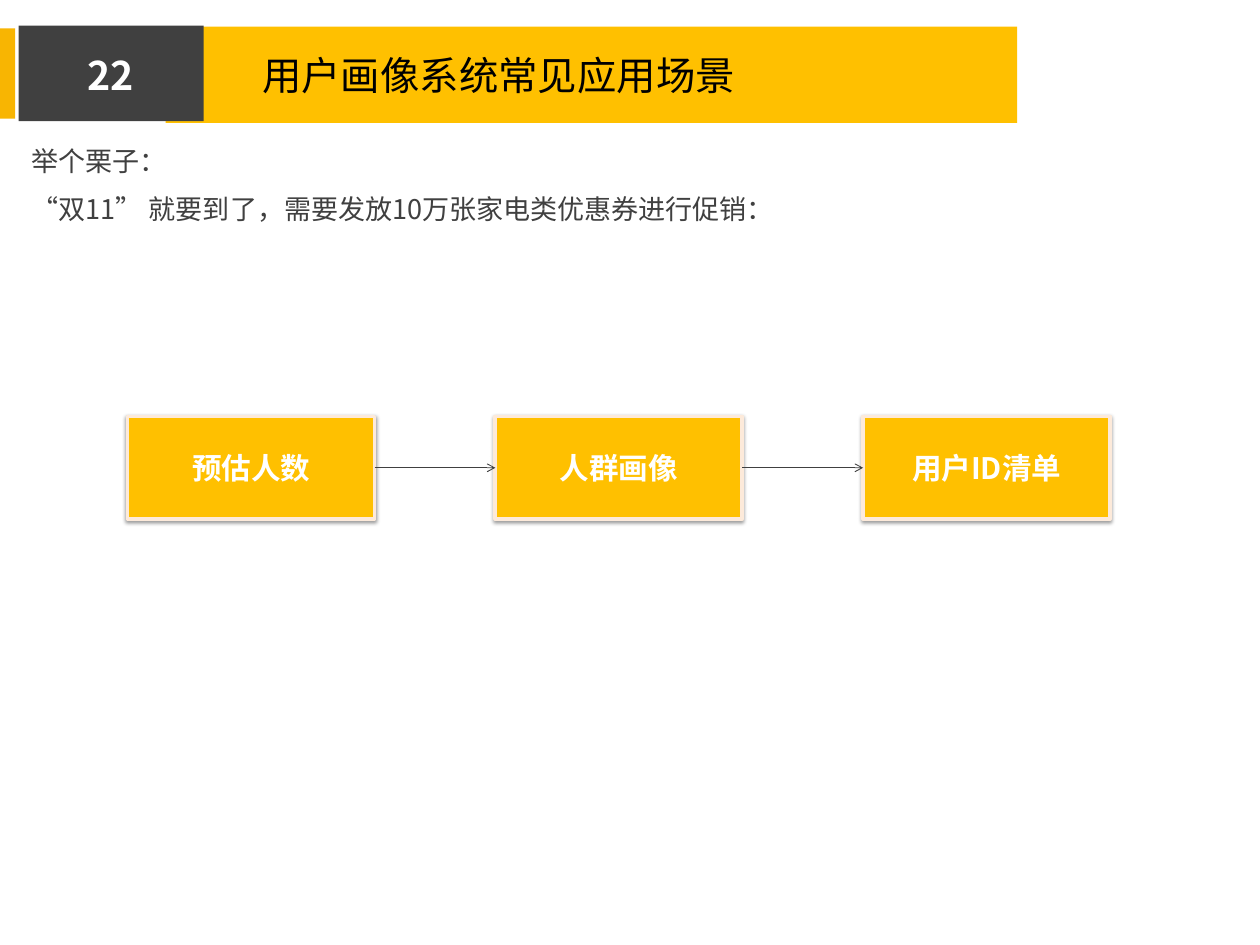
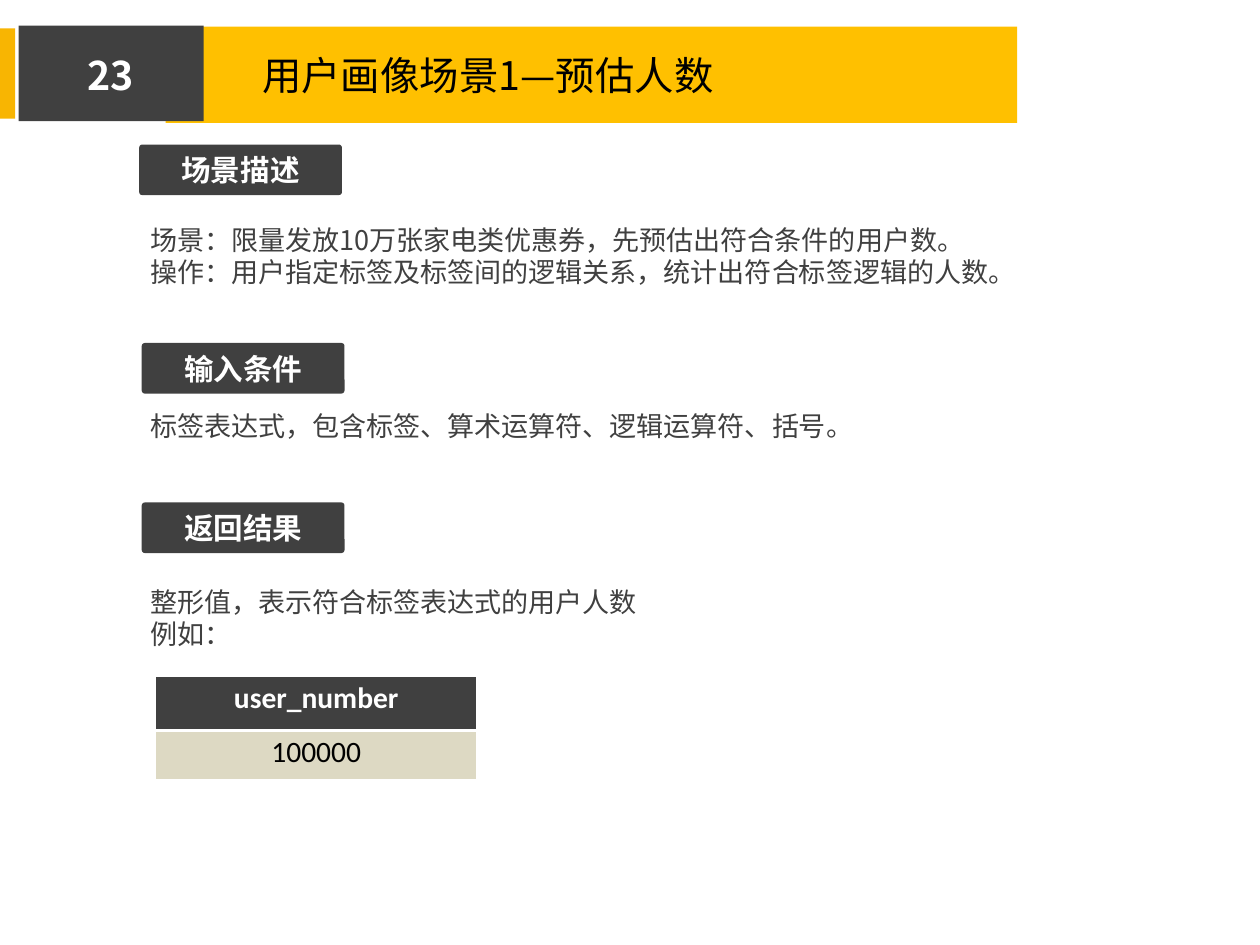
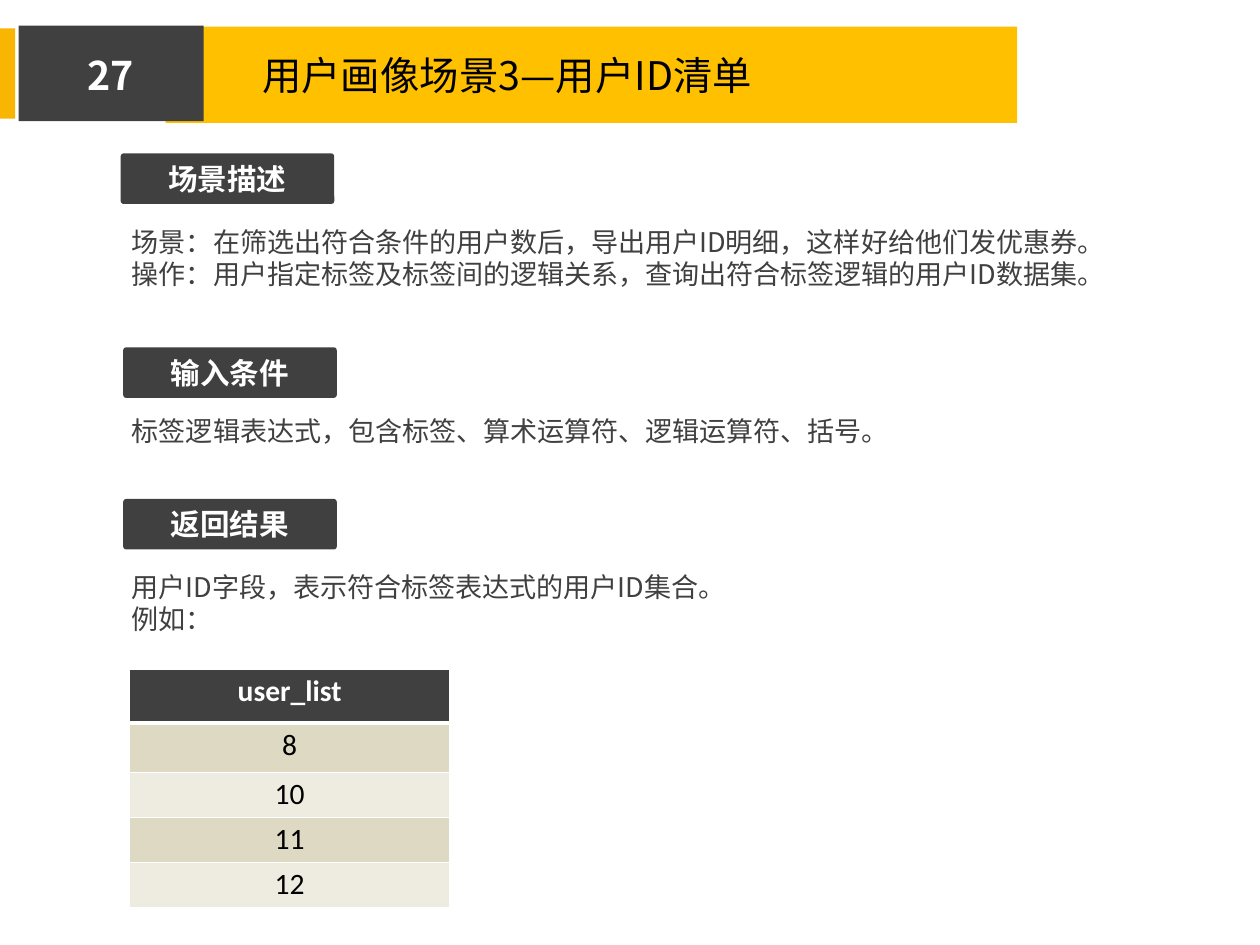
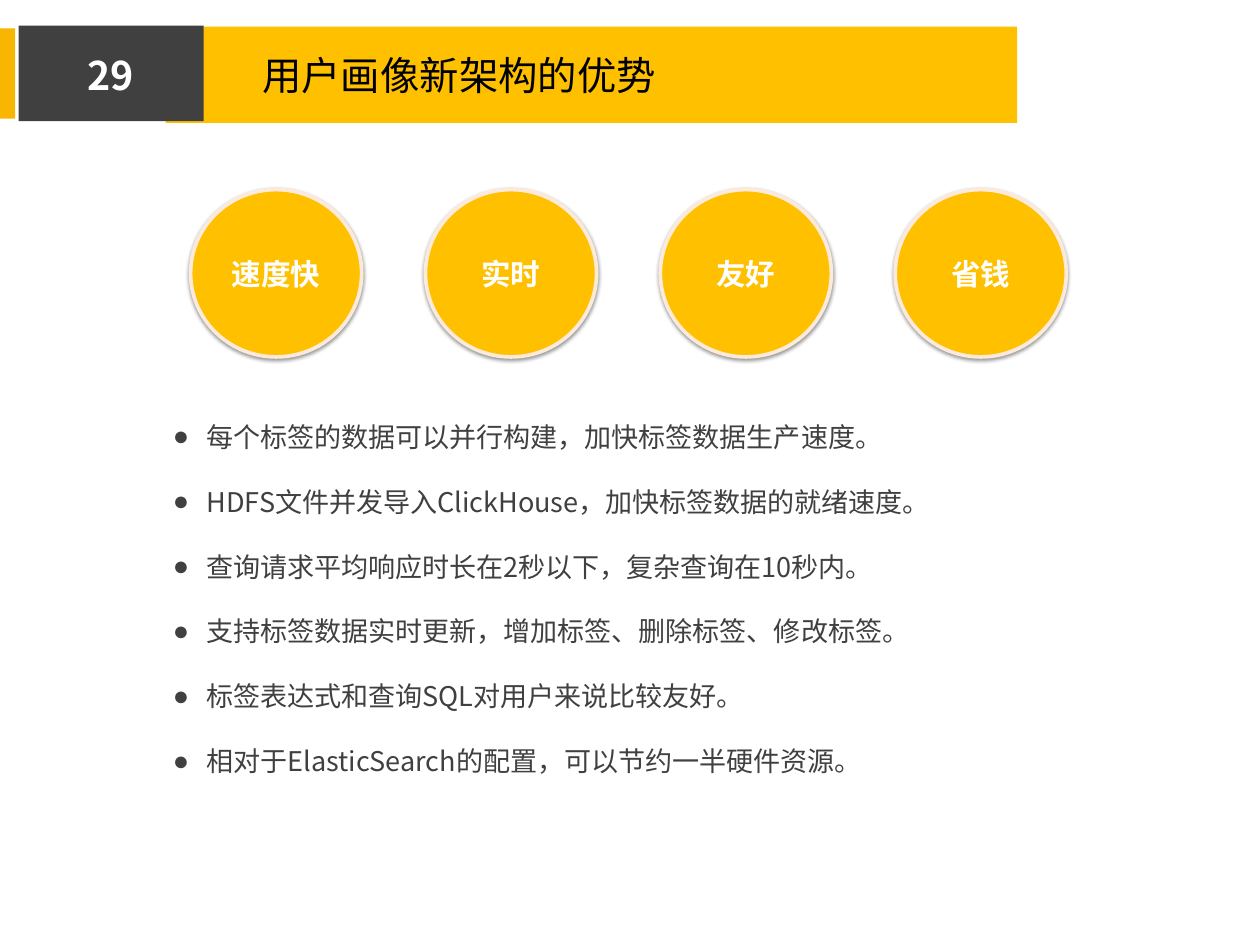
"""Build four slides on user-profile scenarios on a 64 by 48 grid."""
from dataclasses import dataclass
from typing import NamedTuple, Optional

from lxml import etree
from pptx import Presentation
from pptx.dml.color import RGBColor
from pptx.enum.shapes import MSO_CONNECTOR, MSO_SHAPE
from pptx.enum.text import MSO_ANCHOR, MSO_AUTO_SIZE, PP_ALIGN
from pptx.oxml.ns import qn
from pptx.util import Pt

RECT, ROUND, OVAL = MSO_SHAPE.RECTANGLE, MSO_SHAPE.ROUNDED_RECTANGLE, MSO_SHAPE.OVAL
STRAIGHT = MSO_CONNECTOR.STRAIGHT
LEFT, CENTER = PP_ALIGN.LEFT, PP_ALIGN.CENTER
TOP, MIDDLE = MSO_ANCHOR.TOP, MSO_ANCHOR.MIDDLE
NO_FIT = MSO_AUTO_SIZE.NONE
COLS, ROWS, CELL = 64, 48, 16
CONTENT_LAYOUT, TITLE_LAYOUT = 1, 5


@dataclass(frozen=True)
class Theme:
    """Colours, fonts and type sizes of the deck."""

    yellow: str = "FFC000"
    accent: str = "F8B502"
    dark: str = "404040"
    white: str = "FFFFFF"
    black: str = "000000"
    rim: str = "FDEADA"
    stripes: tuple[str, str] = ("DDD9C3", "EEECE1")
    font: str = "Noto Sans CJK SC"
    table_font: str = "Calibri"
    title: int = 32
    label: int = 24
    body: int = 22
    single: int = 26
    loose: int = 39


T = Theme()


class Box(NamedTuple):
    """A rectangle in grid columns and rows."""

    x: float
    y: float
    w: float
    h: float

    def emu(self) -> tuple[int, ...]:
        """Return left, top, width and height as lengths."""
        return tuple(grid(v) for v in self)


class Style(NamedTuple):
    """Formatting of one kind of text."""

    size: int
    color: str
    bold: bool = False
    font: str = T.font


class Section(NamedTuple):
    """A labelled block of text lines."""

    label: str
    label_y: float
    text_y: float
    lines: tuple[str, ...]
    first_pitch: int = T.single
    shift: float = 0


class Scenario(NamedTuple):
    """A slide with three sections and a sample result."""

    number: int
    title: str
    x: float
    label_w: float
    sections: tuple[Section, ...]
    table_x: float
    table_y: float
    rows: tuple[str, ...]


class Band(NamedTuple):
    """A coloured bar of the slide master."""

    box: Box
    color: str


BANDS = (
    Band(Box(0, 1.44, 0.77, 4.59), T.accent),
    Band(Box(8.42, 1.35, 43.25, 4.9), T.yellow),
    Band(Box(0.95, 1.3, 9.4, 4.86), T.dark),
)
TITLE_BOX = Box(12.87, 2.38, 36.27, 2.88)
NUMBER_BOX = Box(0.27, 2.34, 10.67, 2.88)
TITLE = Style(T.title, T.black)
NUMBER = Style(T.title, T.white, True)
LABEL = Style(T.label, T.white, True)
BODY = Style(T.body, T.dark)
HEAD_CELL = Style(T.label, T.white, True, T.table_font)
DATA_CELL = Style(T.label, T.black, False, T.table_font)

SCENARIOS = (
    Scenario(23, "用户画像场景1—预估人数", 7.2, 10.3, (
        Section("场景描述", 7.34, 11.16, (
            "场景：限量发放10万张家电类优惠券，先预估出符合条件的用户数。",
            "操作：用户指定标签及标签间的逻辑关系，统计出符合标签逻辑的人数。",
        ), shift=-0.13),
        Section("输入条件", 17.42, 20.61, (
            "标签表达式，包含标签、算术运算符、逻辑运算符、括号。",)),
        Section("返回结果", 25.52, 29.52, (
            "整形值，表示符合标签表达式的用户人数", "例如：")),
    ), 7.92, 34.34, ("user_number", "100000")),
    Scenario(27, "用户画像场景3—用户ID清单", 6.26, 10.85, (
        Section("场景描述", 7.79, 11.25, (
            "场景：在筛选出符合条件的用户数后，导出用户ID明细，这样好给他们发优惠券。",
            "操作：用户指定标签及标签间的逻辑关系，查询出符合标签逻辑的用户ID数据集。",
        ), shift=-0.13),
        Section("输入条件", 17.64, 20.84, (
            "标签逻辑表达式，包含标签、算术运算符、逻辑运算符、括号。",)),
        Section("返回结果", 25.34, 27.95, (
            "用户ID字段，表示符合标签表达式的用户ID集合。", "例如："), T.loose),
    ), 6.57, 33.98, ("user_list", "8", "10", "11", "12")),
)
PROMOTION = (
    "举个栗子：",
    "“双11” 就要到了，需要发放10万张家电类优惠券进行促销：",
)
STEPS = ("预估人数", "人群画像", "用户ID清单")
STRENGTHS = ("速度快", "实时", "友好", "省钱")
ADVANTAGES = (
    "每个标签的数据可以并行构建，加快标签数据生产速度。",
    "HDFS文件并发导入ClickHouse，加快标签数据的就绪速度。",
    "查询请求平均响应时长在2秒以下，复杂查询在10秒内。",
    "支持标签数据实时更新，增加标签、删除标签、修改标签。",
    "标签表达式和查询SQL对用户来说比较友好。",
    "相对于ElasticSearch的配置，可以节约一半硬件资源。",
)


def grid(cells: float) -> int:
    """Turn grid cells into a length."""
    return Pt(cells * CELL)


def rgb(color: str) -> RGBColor:
    """Turn a hex string into a colour."""
    return RGBColor.from_string(color)


def sub(parent, tag: str, **attrs):
    """Append a drawing element with attributes."""
    return etree.SubElement(parent, qn(f"a:{tag}"), {k: str(v) for k, v in attrs.items()})


def format_runs(p, style: Style, align=LEFT) -> None:
    """Apply a text style to every run of a paragraph."""
    p.alignment = align
    for r in p.runs:
        r.font.size, r.font.bold, r.font.name = Pt(style.size), style.bold, style.font
        r.font.color.rgb = rgb(style.color)
        sub(r._r.get_or_add_rPr(), "ea", typeface=style.font)


def write_line(sp, text: str, style: Style, align=LEFT) -> None:
    """Write one vertically centred line into a shape."""
    tf = sp.text_frame
    tf.word_wrap, tf.auto_size, tf.vertical_anchor = True, NO_FIT, MIDDLE
    tf.margin_top = tf.margin_bottom = 0
    tf.text = text
    format_runs(tf.paragraphs[0], style, align)


def write_body(sp, lines: tuple[str, ...], first_pitch: int, pitch: int,
               gap: float = 0, bullet: Optional[str] = None) -> None:
    """Fill a frame with body paragraphs."""
    tf = sp.text_frame
    tf.word_wrap, tf.auto_size, tf.vertical_anchor = True, NO_FIT, TOP
    tf.text = "\n".join(lines)
    indent = grid(1.71) if bullet else 0
    for i, p in enumerate(tf.paragraphs):
        pPr = p._p.get_or_add_pPr()
        pPr.set("marL", str(indent))
        pPr.set("indent", str(-indent))
        if bullet:
            sub(pPr, "buChar", char=bullet)
        else:
            sub(pPr, "buNone")
        p.line_spacing = Pt(pitch if i else first_pitch)
        p.space_before = Pt(gap if i else 0)
        p.space_after = Pt(0)
        format_runs(p, BODY)


def place(sp, box: Box) -> None:
    """Move a shape to a grid box."""
    sp.left, sp.top, sp.width, sp.height = box.emu()


def add_block(s, kind, box: Box, fill: str, text: str = ""):
    """Add a flat filled shape with an optional centred label."""
    sp = s.shapes.add_shape(kind, *box.emu())
    sp.shadow.inherit = False
    sp.fill.solid()
    sp.fill.fore_color.rgb = rgb(fill)
    sp.line.fill.background()
    if text:
        write_line(sp, text, LABEL, CENTER)
    return sp


def add_raised_row(s, kind, first: Box, step: float, labels: tuple[str, ...]) -> list[Box]:
    """Add equally spaced rimmed shapes with a soft shadow."""
    boxes = [first._replace(x=first.x + i * step) for i in range(len(labels))]
    for box, text in zip(boxes, labels):
        sp = add_block(s, kind, box, T.yellow, text)
        sp.line.color.rgb = rgb(T.rim)
        sp.line.width = Pt(3)
        effects = sp.element.spPr.find(qn("a:effectLst"))
        shadow = sub(effects, "outerShdw", blurRad=Pt(3.1), dist=Pt(1.6),
                     dir=5400000, rotWithShape=0)
        sub(sub(shadow, "srgbClr", val=T.black), "alpha", val=38000)
    return boxes


def add_arrow(s, start: Box, end: Box) -> None:
    """Join two neighbouring boxes with an arrow."""
    y = grid(start.y + start.h / 2)
    c = s.shapes.add_connector(STRAIGHT, grid(start.x + start.w), y, grid(end.x), y)
    c.line.color.rgb = rgb(T.dark)
    c.line.width = Pt(0.75)
    sub(c.line._get_or_add_ln(), "tailEnd", type="arrow")
    sub(c.element.spPr, "effectLst")


def add_result_table(s, x: float, y: float, rows: tuple[str, ...]) -> None:
    """Add a one-column table with a dark header and striped rows."""
    heights = [2.75, 2.5, 2, 2, 2][:len(rows)]
    frame = s.shapes.add_table(len(rows), 1, *Box(x, y, 16.29, sum(heights)).emu())
    table = frame.table
    table.first_row = table.horz_banding = False
    for i, (text, height) in enumerate(zip(rows, heights)):
        table.rows[i].height = grid(height)
        cell = table.cell(i, 0)
        cell.text = text
        format_runs(cell.text_frame.paragraphs[0], DATA_CELL if i else HEAD_CELL, CENTER)
        tcPr = cell._tc.get_or_add_tcPr()
        for side in "LRTB":
            thick = (i, side) in ((0, "B"), (1, "T"))
            ln = sub(tcPr, f"ln{side}", w=Pt(3 if thick else 1))
            sub(sub(ln, "solidFill"), "srgbClr", val=T.white)
        cell.fill.solid()
        cell.fill.fore_color.rgb = rgb(T.stripes[(i - 1) % 2] if i else T.dark)


def add_master_bands(prs, s) -> None:
    """Put the header bands on the slide master."""
    for i, band in enumerate(BANDS):
        sp = add_block(s, RECT, band.box, band.color)
        sp.element.nvSpPr.cNvPr.set("id", str(100 + i))
        prs.slide_master.shapes.element.append(sp.element)


def add_slide(prs, layout: int, number: int, title: str):
    """Add a slide with its title and number."""
    s = prs.slides.add_slide(prs.slide_layouts[layout])
    place(s.shapes.title, TITLE_BOX)
    write_line(s.shapes.title, title, TITLE)
    write_line(s.shapes.add_textbox(*NUMBER_BOX.emu()), str(number), NUMBER, CENTER)
    return s


def add_flow_slide(prs):
    """Add the slide with the three-step flow."""
    s = add_slide(prs, CONTENT_LAYOUT, 22, "用户画像系统常见应用场景")
    body = s.placeholders[1]
    place(body, Box(1.17, 6.3, 61.3, 5.45))
    write_body(body, PROMOTION, T.loose, T.loose)
    boxes = add_raised_row(s, RECT, Box(6.48, 21.15, 12.55, 5.22), 18.68, STEPS)
    for start, end in zip(boxes, boxes[1:]):
        add_arrow(s, start, end)
    return s


def add_scenario_slide(prs, scenario: Scenario) -> None:
    """Add a slide describing one scenario."""
    s = add_slide(prs, TITLE_LAYOUT, scenario.number, scenario.title)
    for sec in scenario.sections:
        box = Box(scenario.x + sec.shift, sec.label_y, scenario.label_w, 2.57)
        add_block(s, ROUND, box, T.dark, sec.label).adjustments[0] = 0.06
        area = Box(scenario.x, sec.text_y, 56, 2.1 * len(sec.lines))
        write_body(s.shapes.add_textbox(*area.emu()), sec.lines, sec.first_pitch, T.single)
    add_result_table(s, scenario.table_x, scenario.table_y, scenario.rows)


def add_advantage_slide(prs) -> None:
    """Add the slide with four strengths and a bullet list."""
    s = add_slide(prs, CONTENT_LAYOUT, 29, "用户画像新架构的优势")
    body = s.placeholders[1]
    place(body, Box(8.33, 21.15, 48.33, 22.1))
    write_body(body, ADVANTAGES, T.single, T.single, 26.7, "●")
    add_raised_row(s, OVAL, Box(9.68, 9.63, 8.69, 8.5), 11.93, STRENGTHS)


def main() -> None:
    """Build and save the deck."""
    prs = Presentation()
    prs.slide_width, prs.slide_height = grid(COLS), grid(ROWS)
    add_master_bands(prs, add_flow_slide(prs))
    for scenario in SCENARIOS:
        add_scenario_slide(prs, scenario)
    add_advantage_slide(prs)
    prs.save("out.pptx")


if __name__ == "__main__":
    main()
